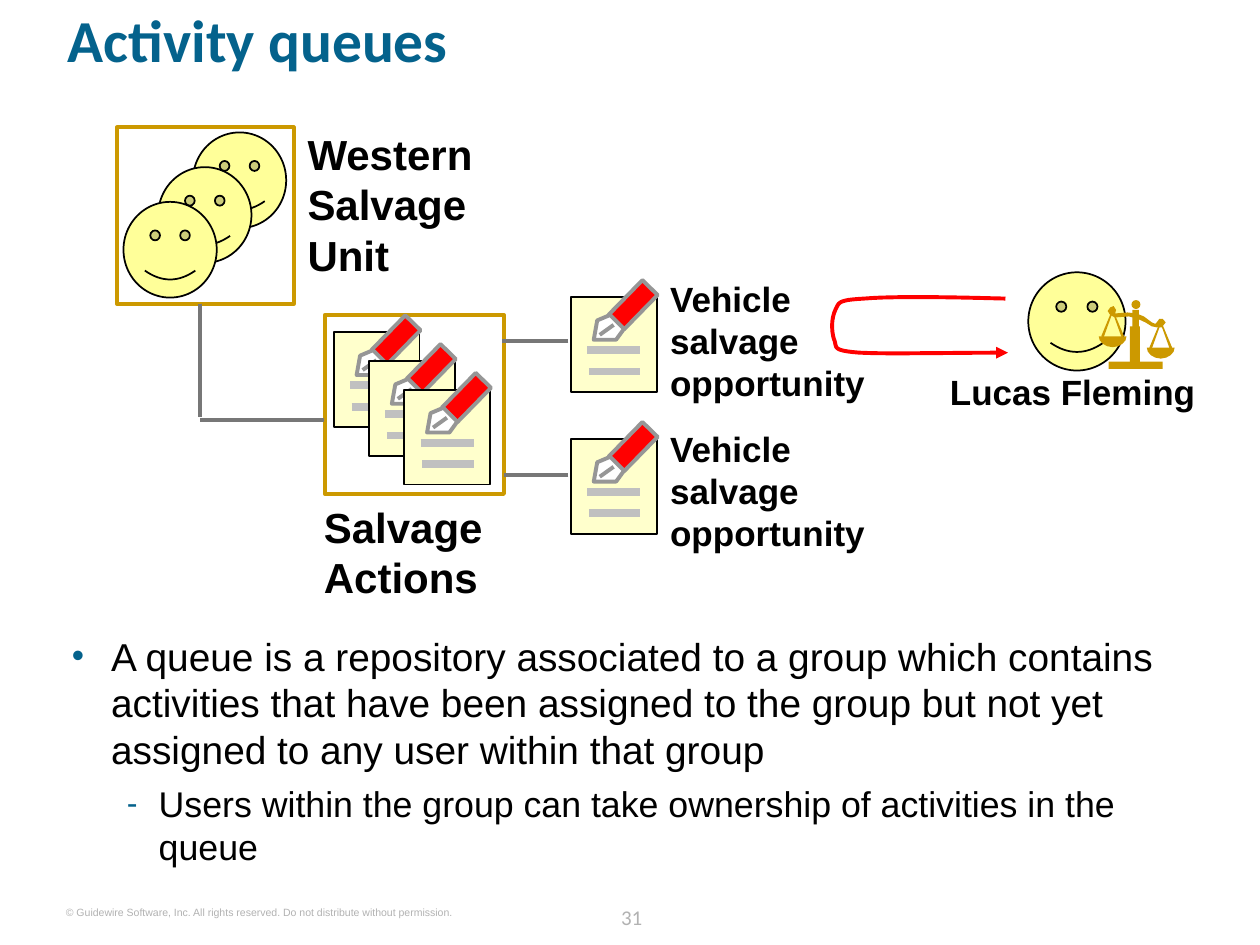
import pptx
import pptx.util
import pptx.dml.color
import pptx.enum.shapes
import pptx.enum.text
import pptx.oxml
from lxml import etree

Cm, Pt = pptx.util.Cm, pptx.util.Pt
RGB = pptx.dml.color.RGBColor
KIND = pptx.enum.shapes.MSO_SHAPE
ALIGN = pptx.enum.text.PP_ALIGN
NS = "http://schemas.openxmlformats.org/drawingml/2006/main"

BLUE = RGB(0x04, 0x62, 0x8C)
BLACK = RGB(0, 0, 0)
WHITE = RGB(0xFF, 0xFF, 0xFF)
YELLOW = RGB(0xFF, 0xFF, 0x99)
CREAM = RGB(0xFF, 0xFF, 0xCC)
GOLD = RGB(0xCC, 0x99, 0x00)
RED = RGB(0xFF, 0, 0)
STEEL = RGB(0x96, 0x96, 0x96)
SILVER = RGB(0xC0, 0xC0, 0xC0)
GREY = RGB(0x77, 0x77, 0x77)
PALE = RGB(0xB2, 0xB2, 0xB2)

# Content: text, box in cm, size
TITLE = "Activity queues"
BODY = [  # text, size, left margin, hang, bullet, space before
    ("A queue is a repository associated to a group which contains activities that "
     "have been assigned to the group but not yet assigned to any user within that group",
     22.2, 0.79, 0.79, "•", 0),
    ("Users within the group can take ownership of activities in the queue",
     20.4, 1.75, 0.64, "-", 5.5),
]
TASK = "Vehicle salvage opportunity"
LABELS = [
    ("Western \vSalvage\vUnit", (6.2, 2.59, 8.1, 3.05), 24),
    ("Salvage Actions", (6.53, 10.11, 3.84, 2.03), 24),
    (TASK, (13.51, 5.59, 4.27, 2.54), 20),
    (TASK, (13.51, 8.61, 4.27, 2.54), 20),
    ("Lucas Fleming", (19.15, 7.47, 5.41, 0.84), 20),
]
NUMBER = "31"
RIGHTS = "© Guidewire Software, Inc. All rights reserved. Do not distribute without permission."

# Geometry in cm
LINKS = [
    ((4.04, 6.12), (4.04, 8.41)), ((4.04, 8.46), (6.53, 8.46)),
    ((11.46, 6.88), (10.11, 6.88)), ((11.46, 9.58), (10.16, 9.58)),
]
SHEETS = [(11.51, 5.99), (11.51, 8.85)]
BARS = [((0.36, 1.5), (1.4, 1.5)), ((0.33, 1.07), (1.4, 1.07))]
NIB = [(0.79, 0.36), (0.53, 0.47), (0.46, 0.86), (0.91, 0.86), (1.07, 0.64)]
SLIT = ((0.86, 0.56), (0.58, 0.76))
PANS = [(22.15, 6.78), (23.12, 7.01)]
BOWL = [(0, 0), (0.02, 0.08), (0.08, 0.15), (0.17, 0.2), (0.28, 0.22),
        (0.39, 0.2), (0.48, 0.15), (0.54, 0.08), (0.56, 0)]
STRAND = [(0.1, 0.02), (0.28, -0.48), (0.25, -0.48), (0.05, 0)]
BEAM = [
    (23.5, 6.5), (23.44, 6.43), (23.37, 6.43), (23.32, 6.5), (23.29, 6.53), (23.22, 6.5),
    (23.06, 6.38), (22.91, 6.32), (22.73, 6.3), (22.48, 6.32), (22.5, 6.25), (22.45, 6.17),
    (22.38, 6.2), (22.33, 6.27), (22.38, 6.35), (22.48, 6.4), (22.76, 6.38), (22.94, 6.43),
    (23.09, 6.5), (23.22, 6.58), (23.32, 6.6), (23.42, 6.6),
]
STAND = [(22.83, 6.25, 0.13, 0.46), (22.78, 6.58, 0.2, 0.74), (22.35, 7.29, 1.09, 0.15)]
LOOP = [  # start, then two handles and an end for each curve
    (20.27, 6.02), (19.13, 5.99), (18.01, 5.97), (17.42, 6.02),
    (16.87, 6.05), (16.92, 6.1), (16.84, 6.25), (16.76, 6.43), (16.76, 6.65), (16.81, 6.83),
    (16.89, 7.01), (16.74, 7.06), (17.32, 7.11), (17.91, 7.14), (19.1, 7.11), (20.32, 7.11),
]


def shift(points, spot):
    return [(x + spot[0], y + spot[1]) for x, y in points]


def paint(shape, fill=None, line=None, width=1):
    shape.shadow.inherit = False
    if fill is None:
        shape.fill.background()
    else:
        shape.fill.solid()
        shape.fill.fore_color.rgb = fill
    if line is None:
        shape.line.fill.background()
    else:
        shape.line.color.rgb = line
        shape.line.width = Pt(width)
    return shape


def block(art, kind, box, *look):
    return paint(art.add_shape(kind, *map(Cm, box)), *look)


def trace(art, points, *look, close=True):
    points = [(Cm(x), Cm(y)) for x, y in points]
    pen = art.build_freeform(*points[0], scale=1.0)
    pen.add_line_segments(points[1:], close=close)
    return paint(pen.convert_to_shape(), *look)


def stroke(art, ends, color, width):
    (x1, y1), (x2, y2) = ends
    line = art.add_connector(pptx.enum.shapes.MSO_CONNECTOR.STRAIGHT,
                             Cm(x1), Cm(y1), Cm(x2), Cm(y2))
    line.line.color.rgb = color
    line.line.width = Pt(width)
    etree.SubElement(line._element.spPr, f"{{{NS}}}effectLst")


def face(art, x, y, wide=1.88, high=1.93):
    block(art, KIND.SMILEY_FACE, (x, y, wide, high), YELLOW, BLACK).adjustments[0] = 0.093


def sheet(art, spot):
    x, y = spot
    block(art, KIND.RECTANGLE, (x, y, 1.73, 1.91), CREAM, BLACK)
    for bar in BARS:
        stroke(art, shift(bar, spot), SILVER, 4.5)
    block(art, KIND.RECTANGLE, (x + 1.04, y - 0.33, 0.43, 0.97), RED, STEEL, 2.25).rotation = 44.3
    trace(art, shift(NIB, spot), WHITE, STEEL, 2.25)
    stroke(art, shift(SLIT, spot), STEEL, 2.25)


def bend(points, steps=12):
    path = [points[0]]
    for i in range(0, len(points) - 1, 3):
        a, b, c, d = points[i:i + 4]
        for n in range(1, steps + 1):
            t = n / steps
            u = 1 - t
            path.append(tuple(u**3 * a[k] + 3 * u * u * t * b[k] + 3 * u * t * t * c[k]
                              + t**3 * d[k] for k in (0, 1)))
    return path


def place(shape, box):
    for name, value in zip(("left", "top", "width", "height"), box):
        setattr(shape, name, Cm(value))
    frame = shape.text_frame
    form = dict(margin_left=0, margin_top=0, margin_right=0, margin_bottom=0, word_wrap=True,
                auto_size=pptx.enum.text.MSO_AUTO_SIZE.NONE,
                vertical_anchor=pptx.enum.text.MSO_ANCHOR.TOP)
    for name, value in form.items():
        setattr(frame, name, value)
    return frame


def write(para, text, color, align=ALIGN.LEFT, **form):
    para.text = text
    para.alignment = align
    for run in para.runs:
        for name, value in form.items():
            setattr(run.font, name, value)
        run.font.color.rgb = color


def label(art, text, box, color, **form):
    frame = place(art.add_textbox(0, 0, 0, 0), box)
    write(frame.paragraphs[0], text, color, **form)
    return frame


def main():
    deck = pptx.Presentation()
    deck.slide_width, deck.slide_height = Cm(25.4), Cm(19.05)
    slide = deck.slides.add_slide(deck.slide_layouts[1])
    art = slide.shapes

    # Title and list
    head = place(art.title, (1.37, 0.33, 23.11, 2.06)).paragraphs[0]
    write(head, TITLE, BLUE, name="Calibri", size=Pt(34), bold=True)
    head.line_spacing = 0.8
    body = place(slide.placeholders[1], (1.45, 12.75, 23.11, 5))
    for i, (text, size, left, hang, mark, gap) in enumerate(BODY):
        para = body.add_paragraph() if i else body.paragraphs[0]
        para.level = i
        props = para._p.get_or_add_pPr()
        props.set("marL", str(Cm(left)))
        props.set("indent", str(-Cm(hang)))
        for item in (f'<a:buClr xmlns:a="{NS}"><a:srgbClr val="{BLUE}"/></a:buClr>',
                     f'<a:buSzPct xmlns:a="{NS}" val="90000"/>',
                     f'<a:buFont xmlns:a="{NS}" typeface="Arial"/>',
                     f'<a:buChar xmlns:a="{NS}" char="{mark}"/>'):
            props.append(pptx.oxml.parse_xml(item))
        write(para, text, BLACK, name="Arial", size=Pt(size))
        para.space_before = Pt(gap)

    # Group of users and its queue
    team = art.add_group_shape().shapes
    queue = art.add_group_shape().shapes
    for i in range(3):
        face(team, 3.89 - 0.7 * i, 2.67 + 0.7 * i)
    block(team, KIND.RECTANGLE, (2.36, 2.57, 3.56, 3.56), None, GOLD, 2.25)
    block(queue, KIND.RECTANGLE, (6.55, 6.35, 3.61, 3.61), None, GOLD, 2.25)
    for i in range(3):
        sheet(queue, (6.73 + 0.71 * i, 6.7 + 0.58 * i))

    # Single tasks and links
    for spot in SHEETS:
        sheet(art.add_group_shape().shapes, spot)
    for ends in LINKS:
        stroke(art, ends, GREY, 2.25)

    # User with scales
    user = art.add_group_shape().shapes
    face(user, 20.73, 5.49, 1.96, 1.98)
    trace(user, BEAM, GOLD)
    for spot in PANS:
        for part in (BOWL, STRAND, [(0.56 - x, y) for x, y in STRAND]):
            trace(user, shift(part, spot), GOLD)
    for box in STAND:
        block(user, KIND.RECTANGLE, box, GOLD)
    block(user, KIND.OVAL, (22.81, 6.05, 0.18, 0.18), GOLD)

    # Looping arrow
    loop = trace(art, bend(LOOP), None, RED, 2.25, close=False)
    etree.SubElement(loop.line._get_or_add_ln(), f"{{{NS}}}tailEnd", type="triangle")

    # Labels and footer
    for text, box, size in LABELS:
        label(art, text, box, BLACK, name="Arial", size=Pt(size), bold=True)
    foot = label(art, NUMBER, (12.01, 18.11, 1.45, 0.64), PALE, align=ALIGN.CENTER,
                 name="Calibri", size=Pt(12))
    foot.paragraphs[0].line_spacing = Pt(18)
    label(art, RIGHTS, (1.32, 18.26, 7.8, 0.25), PALE, align=ALIGN.RIGHT,
          name="Arial", size=Pt(6)).word_wrap = False

    deck.save("out.pptx")


if __name__ == "__main__":
    main()
